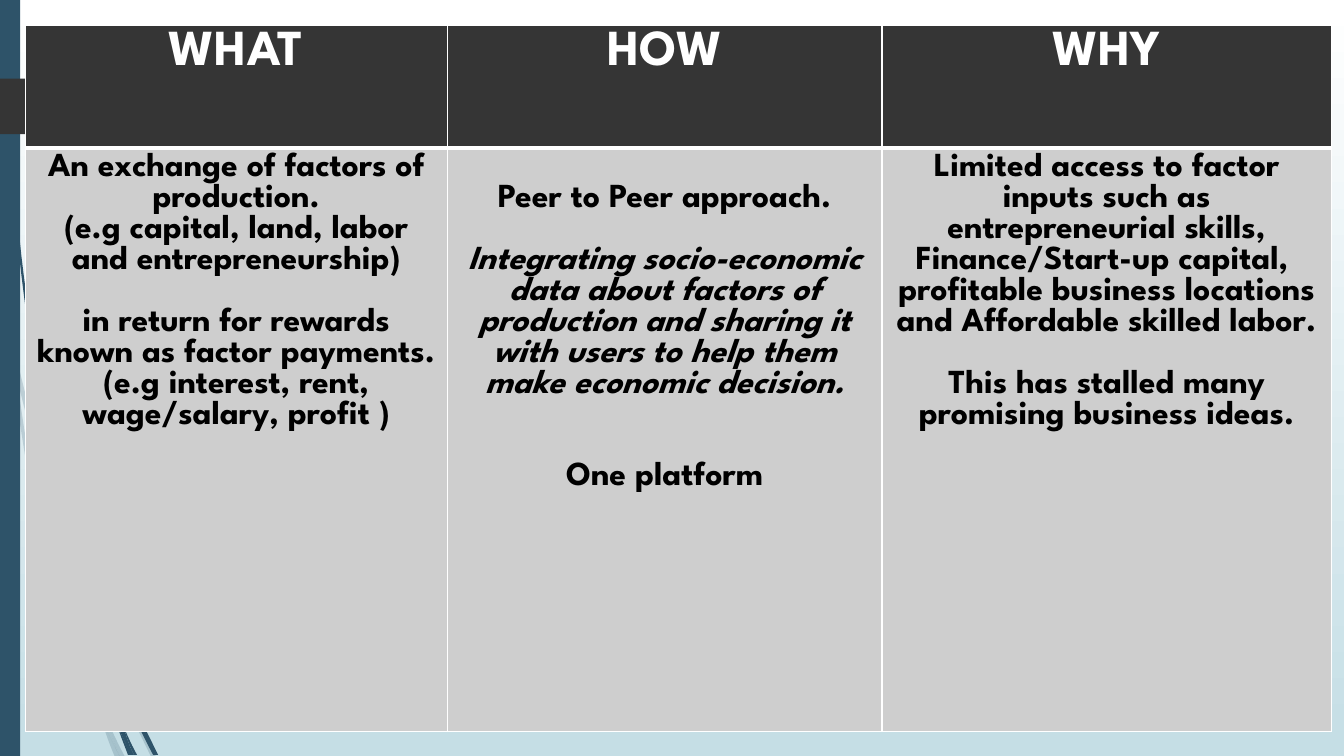
from dataclasses import dataclass

from lxml.etree import SubElement
from pptx import Presentation
from pptx.dml.color import RGBColor as RGB
from pptx.enum.shapes import MSO_SHAPE as SHAPE
from pptx.enum.text import PP_ALIGN as ALIGN
from pptx.oxml import parse_xml
from pptx.oxml.ns import nsdecls, qn
from pptx.util import Pt


@dataclass(frozen=True)
class Theme:
    font: str = "League Spartan"
    head_size: float = 36
    body_size: float = 24
    blank_line: float = 22.1
    white: str = "FFFFFF"
    black: str = "000000"
    sky: str = "C5DEE5"
    teal: str = "2E5369"
    charcoal: str = "353535"
    grey: str = "CECECE"


# Wisps: a start point, then three points per curve, in steps of STEP points
STEP = 0.72
LIGHT_WISPS = [
    [(58, 522), (66, 548), (75, 573), (84, 599), (84, 595), (84, 591), (85, 586),
     (77, 564), (69, 542), (62, 520), (43, 463), (28, 404), (14, 345),
     (15, 355), (16, 366), (17, 376), (29, 425), (42, 474), (58, 522)],
    [(92, 607), (91, 603), (89, 600), (88, 596), (88, 601), (88, 605), (88, 610),
     (99, 639), (110, 666), (123, 694), (131, 713), (141, 732), (150, 751),
     (155, 751), (155, 751), (155, 751), (145, 731), (136, 712), (127, 692),
     (115, 664), (103, 636), (92, 607)],
    [(119, 751), (124, 751), (124, 751), (124, 751), (117, 738), (111, 725), (105, 711),
     (109, 725), (114, 738), (119, 751)],
    [(93, 683), (84, 662), (77, 641), (70, 619), (53, 570), (41, 520), (31, 469),
     (26, 438), (21, 407), (17, 376), (15, 367), (13, 359), (11, 350),
     (15, 390), (21, 430), (28, 470), (37, 521), (49, 571), (65, 621),
     (73, 646), (82, 670), (92, 693), (95, 701), (98, 707), (101, 714),
     (100, 712), (99, 710), (99, 707), (96, 699), (94, 691), (93, 683)],
    [(101, 714), (104, 726), (109, 739), (114, 751), (119, 751), (119, 751), (119, 751),
     (113, 739), (106, 726), (101, 714)],
    [(96, 692), (95, 689), (94, 686), (93, 683), (94, 691), (96, 699), (99, 707),
     (99, 710), (100, 712), (101, 714), (106, 726), (113, 739), (119, 751),
     (119, 751), (119, 751), (119, 751), (114, 738), (109, 725), (105, 711),
     (102, 705), (99, 699), (96, 692)],
]
DARK_WISPS = [
    [(7, 110), (9, 151), (12, 192), (17, 233), (21, 274), (26, 314), (33, 355),
     (39, 396), (47, 436), (56, 477), (57, 478), (57, 480), (57, 481),
     (57, 473), (55, 465), (55, 457), (55, 456), (55, 454), (55, 453),
     (48, 420), (41, 388), (36, 355), (29, 314), (23, 274), (19, 232),
     (14, 191), (10, 151), (8, 109), (7, 89), (6, 69), (5, 48),
     (4, 32), (4, 16), (4, 0), (3, 0), (3, 0), (3, 0),
     (3, 16), (4, 32), (4, 48), (5, 69), (5, 89), (7, 110)],
    [(113, 649), (112, 646), (111, 644), (110, 641), (110, 646), (110, 651), (111, 656),
     (117, 674), (124, 691), (132, 708), (138, 722), (145, 736), (152, 749),
     (157, 749), (157, 749), (157, 749), (150, 735), (143, 721), (136, 706),
     (128, 687), (121, 668), (113, 649)],
    [(133, 749), (136, 749), (136, 749), (136, 749), (131, 740), (126, 729), (122, 719),
     (125, 729), (128, 740), (133, 749)],
    [(117, 722), (120, 731), (124, 741), (127, 749), (131, 749), (131, 749), (131, 749),
     (126, 741), (122, 731), (117, 722)],
    [(116, 706), (114, 701), (112, 696), (110, 691), (112, 700), (114, 709), (116, 717),
     (116, 719), (117, 720), (117, 722), (122, 731), (126, 741), (130, 749),
     (133, 749), (133, 749), (133, 749), (128, 740), (125, 729), (122, 719),
     (119, 714), (118, 710), (116, 706)],
]
RIBBON = [(0, 78), (148, 78), (174, 106), (148, 133), (0, 133)]

# Table: each body paragraph is (text, blank lines above, italic)
HEADINGS = ["WHAT", "HOW", "WHY"]
ANSWERS = [
    [("An exchange of factors of production.", 0, False),
     ("(e.g capital, land, labor and entrepreneurship)", 0, False),
     ("in return for rewards known as factor payments.", 1, False),
     ("(e.g interest, rent, wage/salary, profit )", 0, False)],
    [("Peer to Peer approach.", 1, False),
     ("Integrating socio-economic data about factors of production and sharing it "
      "with users to help them make economic decision.", 1, True),
     ("One platform", 2, False)],
    [("Limited access to factor inputs such as entrepreneurial skills, "
      "Finance/Start-up capital, ", 0, False),
     ("profitable business locations and Affordable skilled labor.", 0, False),
     ("This has stalled many promising business ideas.", 1, False)],
]


def curve_points(nodes, parts=6):
    """Flatten a chain of cubic curves to points."""
    points = [nodes[0]]
    for i in range(0, len(nodes) - 1, 3):
        a, b, c, d = nodes[i:i + 4]
        for t in (k / parts for k in range(1, parts + 1)):
            u = 1 - t
            points.append(tuple(
                u**3 * w + 3 * u * u * t * x + 3 * u * t * t * y + t**3 * z
                for w, x, y, z in zip(a, b, c, d)))
    return points


class Deck:
    def __init__(self, theme):
        self.th = theme
        self.prs = Presentation()
        self.prs.slide_width, self.prs.slide_height = Pt(960), Pt(540)
        self.s = self.prs.slides.add_slide(self.prs.slide_layouts[6])

    def background(self, top, bottom):
        fill = self.s.background.fill
        fill.gradient()
        fill.gradient_angle = 270
        for stop, color, pos in zip(fill.gradient_stops, (top, bottom), (0, 1)):
            stop.color.rgb, stop.position = RGB.from_string(color), pos

    def paint(self, sp, color, opacity=100):
        sp.shadow.inherit = False
        sp.line.fill.background()
        sp.fill.solid()
        sp.fill.fore_color.rgb = RGB.from_string(color)
        if opacity < 100:
            clr = sp.fill._xPr.find(qn("a:solidFill"))[0]
            SubElement(clr, qn("a:alpha"), val=str(opacity * 1000))

    def rect(self, x, y, w, h, color):
        sp = self.s.shapes.add_shape(SHAPE.RECTANGLE, Pt(x), Pt(y), Pt(w), Pt(h))
        self.paint(sp, color)

    def outline(self, points, color, opacity=100):
        pts = [(Pt(x * STEP), Pt(y * STEP)) for x, y in points]
        builder = self.s.shapes.build_freeform(*pts[0])
        builder.add_line_segments(pts[1:], close=True)
        self.paint(builder.convert_to_shape(), color, opacity)

    def table(self, x, y, widths, heights):
        tbl = self.s.shapes.add_table(len(heights), len(widths), Pt(x), Pt(y),
                                      Pt(sum(widths)), Pt(sum(heights))).table
        tbl.horz_banding = False
        for col, w in zip(tbl.columns, widths):
            col.width = Pt(w)
        for row, h in zip(tbl.rows, heights):
            row.height = Pt(h)
        return tbl

    def cell(self, cell, paras, size, color, fill, top=1, bottom=1):
        tf = cell.text_frame
        for i, (text, gap, italic) in enumerate(paras):
            p = tf.add_paragraph() if i else tf.paragraphs[0]
            p.alignment = ALIGN.CENTER
            if i:
                p.space_before = Pt(gap * self.th.blank_line)
            else:
                cell.margin_top = Pt(3.6 + gap * self.th.blank_line)
            r = p.add_run()
            r.text = text
            r.font.name, r.font.size = self.th.font, Pt(size)
            r.font.bold, r.font.italic = True, italic
            r.font.color.rgb = RGB.from_string(color)
        cell.fill.solid()
        cell.fill.fore_color.rgb = RGB.from_string(fill)
        sides = zip("LRTB", (1, 1, top, bottom))
        for i, (side, width) in enumerate(sides):
            cell._tc.tcPr.insert(i, parse_xml(
                f'<a:ln{side} {nsdecls("a")} w="{Pt(width)}"><a:solidFill>'
                f'<a:srgbClr val="{self.th.white}"/></a:solidFill></a:ln{side}>'))


th = Theme()
deck = Deck(th)

# Backdrop
deck.background(th.white, th.sky)
for wisp in LIGHT_WISPS:
    deck.outline(curve_points(wisp), th.teal, 20)
for wisp in DARK_WISPS:
    deck.outline(curve_points(wisp), th.teal)
deck.rect(0, 0, 14.4, 540, th.teal)
deck.outline(RIBBON, th.charcoal)

# What, how and why
tbl = deck.table(18, 18, [301.5, 310.5, 321], [87.8, 417])
for col, (heading, answer) in enumerate(zip(HEADINGS, ANSWERS)):
    deck.cell(tbl.cell(0, col), [(heading, 0, False)], th.head_size,
              th.white, th.charcoal, bottom=3)
    deck.cell(tbl.cell(1, col), answer, th.body_size, th.black, th.grey, top=3)

deck.prs.save("out.pptx")
